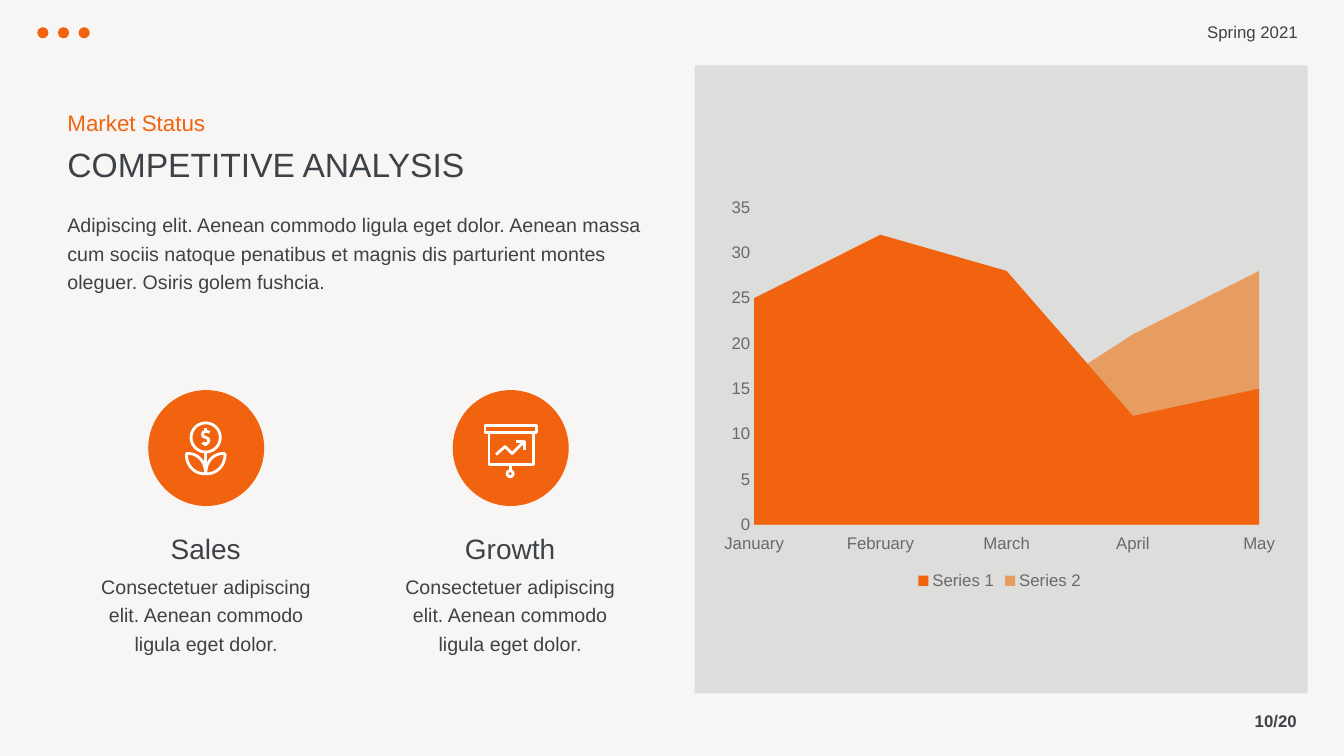
from dataclasses import dataclass
from typing import Any

import pptx
import pptx.chart.data
import pptx.dml.color
import pptx.enum.chart
import pptx.enum.shapes
import pptx.enum.text
import pptx.util

Inches = pptx.util.Inches
Pt = pptx.util.Pt
Align = pptx.enum.text.PP_ALIGN
Anchor = pptx.enum.text.MSO_ANCHOR
Shape = pptx.enum.shapes.MSO_SHAPE
Point = tuple[float, float]

FONT = "Arial"
COLORS = {"paper": "F7F6F4", "ink": "3D4248", "main": "F1630F", "soft": "E79D60",
          "panel": "DDDDDC", "grid": "DCDCDC", "label": "6A6A6A", "white": "FFFFFF"}
UNITS = 1000  # freeform units per inch


@dataclass
class Label:
    text: str
    box: tuple[float, float, float, float]
    size: int
    color: str = "ink"
    align: Any = Align.LEFT
    anchor: Any = Anchor.TOP
    space: float = 1.0
    bold: bool = False
    grow: bool = True


@dataclass
class Ring:
    x: float
    y: float
    radius: float


@dataclass
class Stroke:
    points: list[Point]
    curved: bool = False  # points are chained cubic curves


@dataclass
class Topic:
    name: str
    left: float
    note_box: tuple[float, float]  # left and width
    disc: float
    rings: list[Ring]
    strokes: list[Stroke]


def rgb(name: str) -> pptx.dml.color.RGBColor:
    return pptx.dml.color.RGBColor.from_string(COLORS[name])


def add_label(shapes: Any, label: Label) -> None:
    frame = shapes.add_textbox(*map(Inches, label.box)).text_frame
    frame.word_wrap = True
    frame.vertical_anchor = label.anchor
    if label.grow:
        frame.auto_size = pptx.enum.text.MSO_AUTO_SIZE.SHAPE_TO_FIT_TEXT
    frame.text = label.text
    line = frame.paragraphs[0]
    line.alignment = label.align
    line.line_spacing = label.space
    font = line.runs[0].font
    font.name, font.size, font.bold = FONT, Pt(label.size), label.bold
    font.color.rgb = rgb(label.color)


def add_solid(shapes: Any, kind: Any, box: tuple[float, ...], color: str) -> None:
    solid = shapes.add_shape(kind, *map(Inches, box))
    solid.shadow.inherit = False
    solid.fill.solid()
    solid.fill.fore_color.rgb = rgb(color)
    solid.line.fill.background()


def draw_line(shape: Any) -> None:
    shape.shadow.inherit = False
    shape.fill.background()
    shape.line.color.rgb = rgb("white")
    shape.line.width = Pt(2)


def add_ring(shapes: Any, ring: Ring) -> None:
    box = (ring.x - ring.radius, ring.y - ring.radius, 2 * ring.radius, 2 * ring.radius)
    draw_line(shapes.add_shape(Shape.OVAL, *map(Inches, box)))


def smooth(points: list[Point], steps: int = 12) -> list[Point]:
    result = [points[0]]
    for first in range(0, len(points) - 1, 3):
        a, b, c, d = points[first:first + 4]
        for step in range(1, steps + 1):
            t = step / steps
            u = 1 - t
            mix = (u**3, 3 * u * u * t, 3 * u * t * t, t**3)
            result.append((sum(m * p[0] for m, p in zip(mix, (a, b, c, d))),
                           sum(m * p[1] for m, p in zip(mix, (a, b, c, d)))))
    return result


def add_stroke(shapes: Any, stroke: Stroke) -> None:
    points = smooth(stroke.points) if stroke.curved else stroke.points
    spots = [(round(x * UNITS), round(y * UNITS)) for x, y in points]
    pen = shapes.build_freeform(*spots[0], scale=Inches(1) / UNITS)
    pen.add_line_segments(spots[1:], close=spots[0] == spots[-1])
    draw_line(pen.convert_to_shape())


def frame_of(left: float, top: float, right: float, base: float) -> Stroke:
    return Stroke([(left, top), (right, top), (right, base), (left, base), (left, top)])


def style_font(font: Any) -> None:
    font.name, font.size = FONT, Pt(12)
    font.color.rgb = rgb("label")


def add_chart(shapes: Any) -> None:
    data = pptx.chart.data.CategoryChartData()
    data.categories = ["January", "February", "March", "April", "May"]
    data.add_series("Series 1", (25, 32, 28, 12, 15))
    data.add_series("Series 2", (12, 16, 12, 21, 28))
    chart = shapes.add_chart(pptx.enum.chart.XL_CHART_TYPE.AREA,
                             *map(Inches, (7.07, 1.89, 5.69, 4)), data).chart
    style_font(chart.font)
    chart.has_title = False
    chart.has_legend = True
    chart.legend.position = pptx.enum.chart.XL_LEGEND_POSITION.BOTTOM
    chart.legend.include_in_layout = False
    style_font(chart.legend.font)
    plot = chart.plots[0]
    plot.vary_by_categories = False
    for series, color in zip(plot.series, ("main", "soft")):
        series.format.fill.solid()
        series.format.fill.fore_color.rgb = rgb(color)
    months, values = chart.category_axis, chart.value_axis
    for axis in (months, values):
        style_font(axis.tick_labels.font)
    months.has_major_gridlines = False
    values.has_major_gridlines = True
    for line in (months.format.line, values.major_gridlines.format.line):
        line.color.rgb = rgb("grid")
        line.width = Pt(0.75)
    values.format.line.fill.background()
    values.major_tick_mark = pptx.enum.chart.XL_TICK_MARK.NONE
    values.minimum_scale, values.maximum_scale, values.major_unit = 0, 35, 5


# Icon outlines
STEM = 2.04
LEAF = [(1.85, 4.5), (1.96, 4.49), (STEM, 4.58), (STEM, 4.7),
        (1.93, 4.71), (1.84, 4.61), (1.85, 4.5)]
DOLLAR = [(2.08, 4.29), (2.06, 4.28), (2.01, 4.27), (2.01, 4.31),
          (2.01, 4.35), (2.07, 4.33), (2.07, 4.37),
          (2.07, 4.41), (2.02, 4.41), (2.01, 4.39)]
TOPICS = [
    Topic("Sales", 0.75, (0.78, 2.53), 1.47, [Ring(STEM, 4.34, 0.145)], [
        Stroke(LEAF, True),
        Stroke([(2 * STEM - x, y) for x, y in LEAF], True),
        Stroke([(STEM, 4.49), (STEM, 4.7)]),
        Stroke(DOLLAR, True),
        Stroke([(STEM, 4.25), (STEM, 4.28)]),
        Stroke([(STEM, 4.4), (STEM, 4.43)])]),
    Topic("Growth", 3.77, (3.77, 2.58), 4.49, [Ring(5.06, 4.7, 0.03)], [
        frame_of(4.81, 4.22, 5.32, 4.29),
        frame_of(4.85, 4.29, 5.29, 4.61),
        Stroke([(5.06, 4.61), (5.06, 4.67)]),
        Stroke([(4.92, 4.51), (5.01, 4.43), (5.08, 4.5), (5.2, 4.38)]),
        Stroke([(5.12, 4.38), (5.2, 4.38), (5.2, 4.46)])]),
]
LABELS = [
    Label("10/20", (9.96, 6.95, 3, 0.4), 12, align=Align.RIGHT, anchor=Anchor.MIDDLE,
          bold=True, grow=False),
    Label("Spring 2021", (11.39, 0.12, 1.58, 0.4), 12, align=Align.RIGHT,
          anchor=Anchor.MIDDLE, grow=False),
    Label("Market Status", (0.57, 1.03, 3.55, 0.37), 16, "main"),
    Label("COMPETITIVE ANALYSIS", (0.57, 1.38, 5.32, 0.5), 24, anchor=Anchor.BOTTOM),
    Label("Adipiscing elit. Aenean commodo ligula eget dolor. Aenean massa cum sociis "
          "natoque penatibus et magnis dis parturient montes oleguer. Osiris golem fushcia.",
          (0.57, 2.02, 6.09, 0.93), 14, space=1.2),
]
NOTE = "Consectetuer adipiscing elit. Aenean commodo ligula eget dolor."


def add_topic(shapes: Any, topic: Topic) -> None:
    add_solid(shapes, Shape.OVAL, (topic.disc, 3.87, 1.15, 1.15), "main")
    icon = shapes.add_group_shape().shapes
    for ring in topic.rings:
        add_ring(icon, ring)
    for stroke in topic.strokes:
        add_stroke(icon, stroke)
    left, width = topic.note_box
    add_label(shapes, Label(topic.name, (topic.left, 5.22, 2.58, 0.44), 20,
                            align=Align.CENTER, anchor=Anchor.BOTTOM))
    add_label(shapes, Label(NOTE, (left, 5.61, width, 0.93), 14,
                            align=Align.CENTER, space=1.2))


def main() -> None:
    deck = pptx.Presentation()
    deck.slide_width, deck.slide_height = Inches(13.33), Inches(7.5)
    slide = deck.slides.add_slide(deck.slide_layouts[6])
    slide.background.fill.solid()
    slide.background.fill.fore_color.rgb = rgb("paper")
    shapes = slide.shapes

    # Header dots
    dots = shapes.add_group_shape().shapes
    for place in range(3):
        add_solid(dots, Shape.OVAL, (0.37 + 0.205 * place, 0.27, 0.11, 0.11), "main")

    # Chart panel
    add_solid(shapes, Shape.RECTANGLE, (6.89, 0.65, 6.08, 6.23), "panel")
    add_chart(shapes)

    # Text and topics
    for label in LABELS:
        add_label(shapes, label)
    for topic in TOPICS:
        add_topic(shapes, topic)

    deck.save("out.pptx")


if __name__ == "__main__":
    main()
